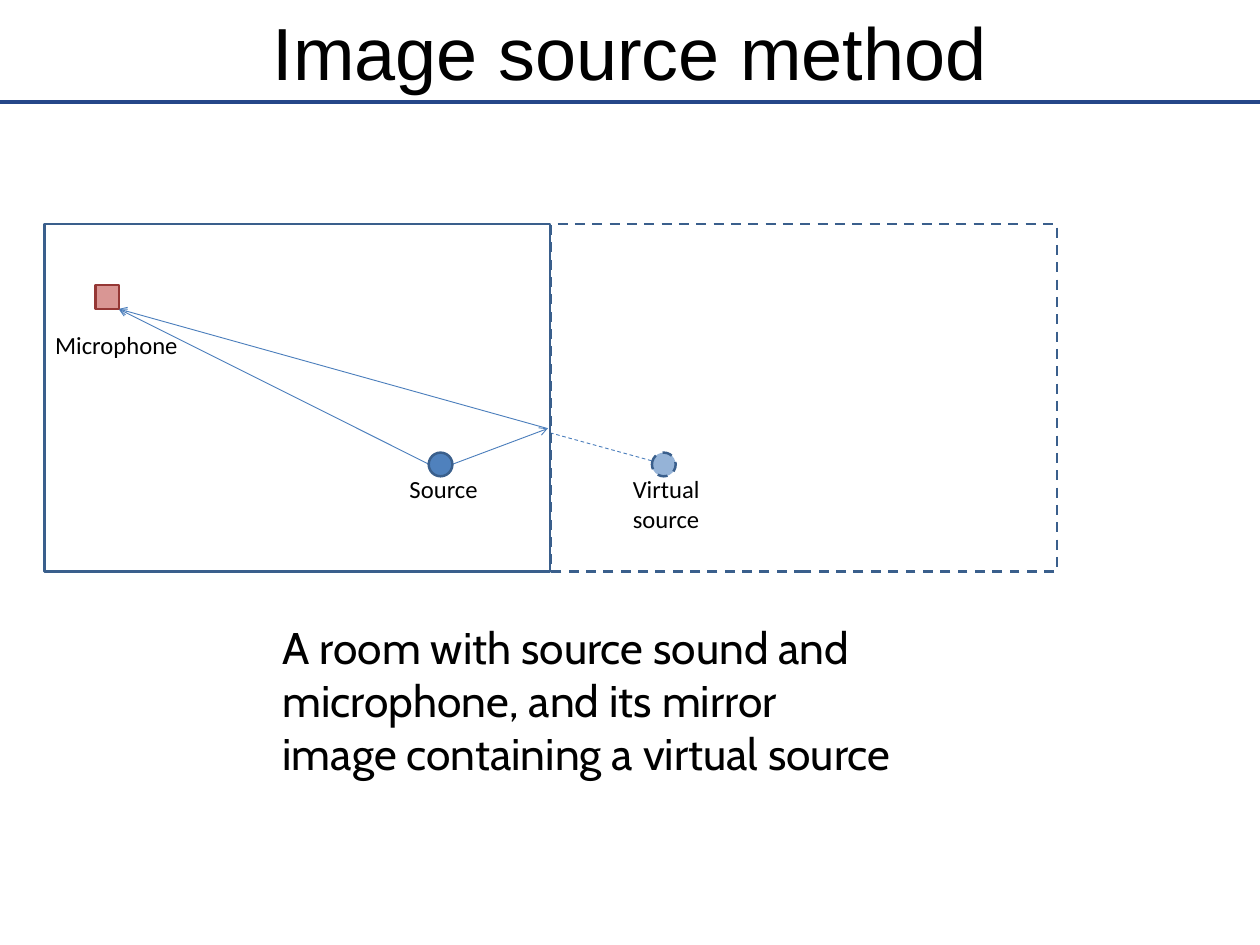
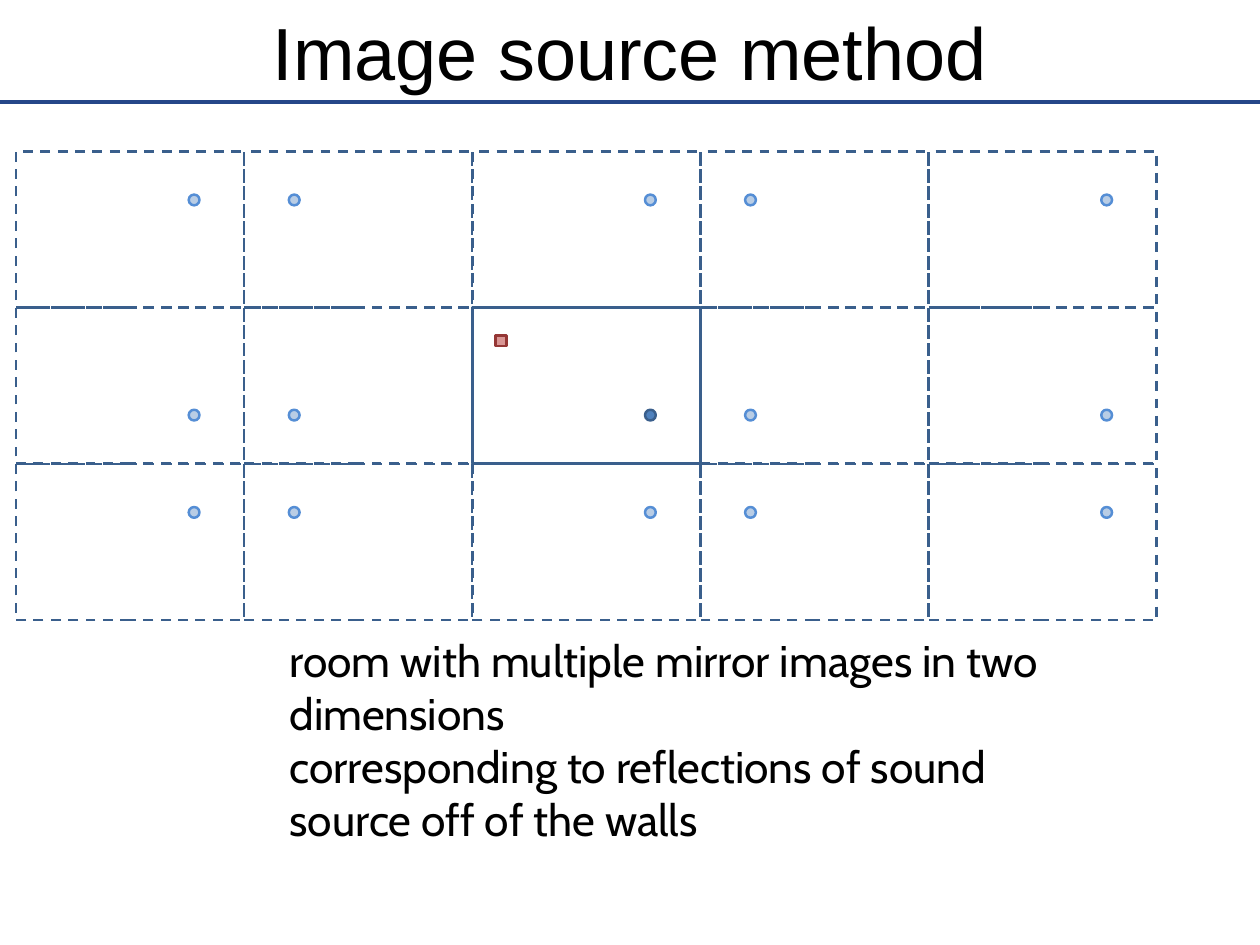
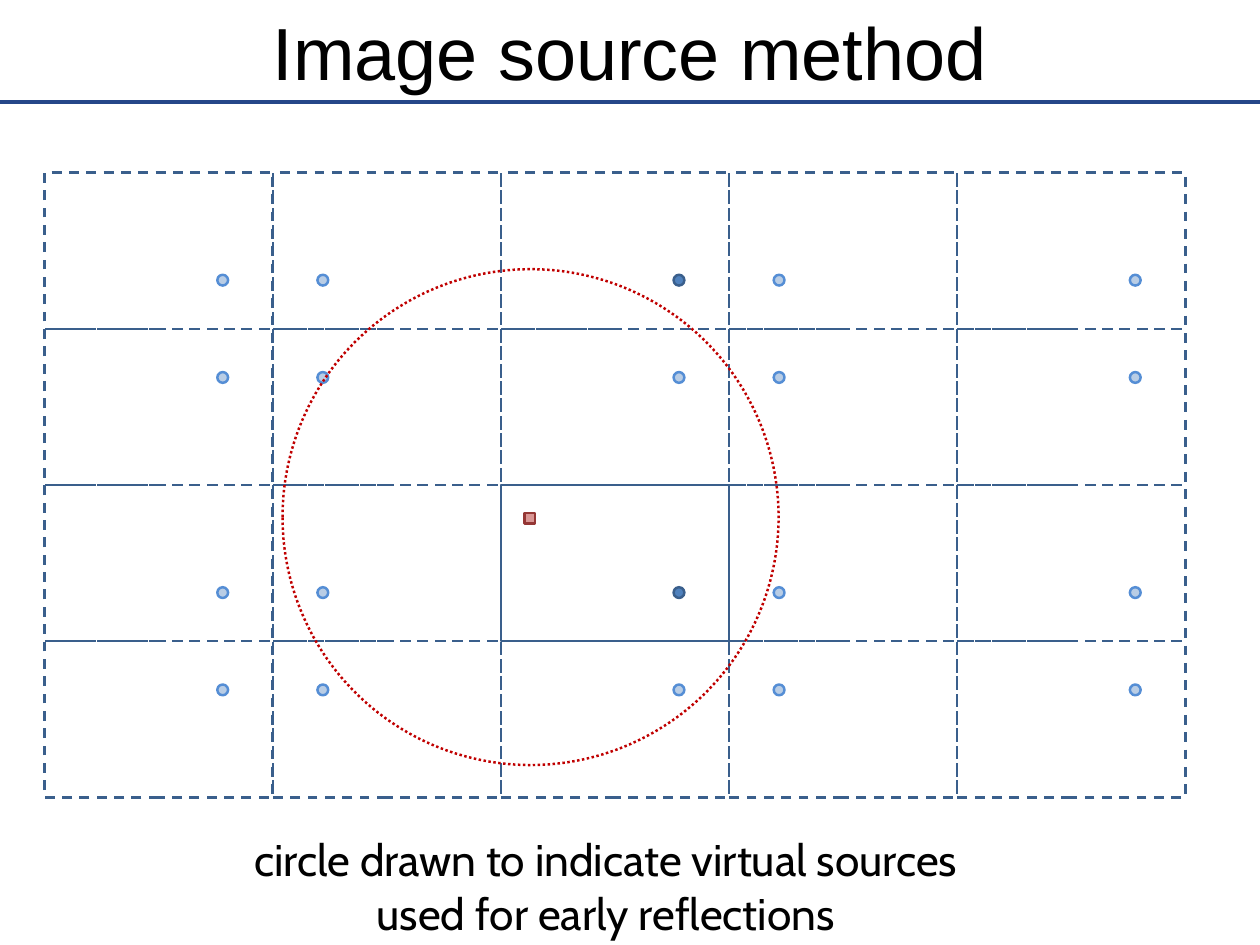
"""Build three slides that explain the image source method for room acoustics."""
from dataclasses import dataclass
from itertools import product

from pptx import Presentation
from pptx.dml.color import RGBColor
from pptx.enum.dml import MSO_LINE
from pptx.enum.shapes import MSO_CONNECTOR, MSO_SHAPE
from pptx.enum.text import MSO_ANCHOR, PP_ALIGN
from pptx.oxml.ns import qn
from pptx.util import Cm, Pt
from lxml.etree import SubElement


@dataclass(frozen=True)
class Theme:
    rule: str = "254789"
    ray: str = "4B7EBC"
    wall: str = "3A5F8C"
    source: str = "4F81BD"
    virtual_source: str = "95B3D7"
    reflection: str = "B9CDE5"
    reflection_edge: str = "558ED5"
    microphone: str = "D99694"
    microphone_edge: str = "953735"
    circle: str = "C00000"
    text: str = "000000"
    title_style: tuple = ("Arial", 60, 0.36, 0.18)
    label_style: tuple = ("Calibri", 20, 0.36, 0.18)
    caption_style: tuple = ("Cabin", 36, 0.25, 0.13)
    outline: float = 2
    rule_width: float = 3
    ray_width: float = 0.75


theme = Theme()


def add_outlined(slide, kind, box, edge, fill=None, dash=None):
    shape = slide.shapes.add_shape(kind, *map(Cm, box))
    shape.shadow.inherit = False
    if fill:
        shape.fill.solid()
        shape.fill.fore_color.rgb = RGBColor.from_string(fill)
    else:
        shape.fill.background()
    shape.line.color.rgb = RGBColor.from_string(edge)
    shape.line.width = Pt(theme.outline)
    shape.line.dash_style = dash


presentation = Presentation()
slide_width = 36.12
presentation.slide_width = Cm(slide_width)
presentation.slide_height = Cm(27.1)
slides = [presentation.slides.add_slide(presentation.slide_layouts[6]) for _ in range(3)]
mirror_slide, grid_slide, circle_slide = slides

rule_ends = (0, 2.92, slide_width, 2.92)
lines = [(slide, rule_ends, theme.rule, theme.rule_width, None, False) for slide in slides]
rays = [
    ((12.98, 13.31, 15.7, 12.29), None, True),
    ((12.29, 13.31, 3.4, 8.86), None, True),
    ((15.7, 12.29, 3.4, 8.86), None, True),
    ((18.85, 13.26, 15.8, 12.42), MSO_LINE.DASH, False),
]
lines += [(mirror_slide, ends, theme.ray, theme.ray_width, dash, arrow) for ends, dash, arrow in rays]

for slide, ends, color, width, dash, arrow in lines:
    connector = slide.shapes.add_connector(MSO_CONNECTOR.STRAIGHT, *map(Cm, ends))
    connector.line.color.rgb = RGBColor.from_string(color)
    connector.line.width = Pt(width)
    connector.line.dash_style = dash
    if arrow:
        SubElement(connector.line._get_or_add_ln(), qn("a:tailEnd"), type="arrow")
    SubElement(connector._element.spPr, qn("a:effectLst"))

room_top, room_width, room_height = 6.43, 14.5, 9.96
marker = 0.68
add_outlined(mirror_slide, MSO_SHAPE.RECTANGLE, (1.27, room_top, room_width, room_height), theme.wall)
add_outlined(mirror_slide, MSO_SHAPE.RECTANGLE, (15.8, room_top, room_width, room_height), theme.wall,
             dash=MSO_LINE.DASH)
add_outlined(mirror_slide, MSO_SHAPE.RECTANGLE, (2.74, 8.18, marker, marker),
             theme.microphone_edge, theme.microphone)
add_outlined(mirror_slide, MSO_SHAPE.OVAL, (12.29, 12.98, marker, marker), theme.wall, theme.source)
add_outlined(mirror_slide, MSO_SHAPE.OVAL, (18.69, 12.98, marker, marker), theme.wall,
             theme.virtual_source, MSO_LINE.DASH)

cell_width, cell_height, dot = 6.54, 4.48, 0.31
dot_x, dot_y = 4.95, 2.93
columns, room_column = 5, 2
grids = [
    (grid_slide, 0.46, 4.34, 3, 1, {(1, 2)}),
    (circle_slide, 1.28, 4.95, 4, 2, {(0, 2), (2, 2)}),
]
for slide, grid_left, grid_top, rows, room_row, solid_sources in grids:
    for row, column in product(range(rows), range(columns)):
        left = grid_left + column * cell_width
        top = grid_top + row * cell_height
        is_room = (row, column) == (room_row, room_column)
        add_outlined(slide, MSO_SHAPE.RECTANGLE, (left, top, cell_width, cell_height), theme.wall,
                     dash=None if is_room else MSO_LINE.DASH)
        x = cell_width - dot_x - dot if (column - room_column) % 2 else dot_x
        y = cell_height - dot_y - dot if (row - room_row) % 2 else dot_y
        if (row, column) in solid_sources:
            edge, fill = theme.wall, theme.source
        else:
            edge, fill = theme.reflection_edge, theme.reflection
        add_outlined(slide, MSO_SHAPE.OVAL, (left + x, top + y, dot, dot), edge, fill)
        if is_room:
            add_outlined(slide, MSO_SHAPE.RECTANGLE, (left + 0.67, top + 0.8, dot, dot),
                         theme.microphone_edge, theme.microphone)

add_outlined(circle_slide, MSO_SHAPE.OVAL, (8.1, 7.72, 14.22, 14.22), theme.circle,
             dash=MSO_LINE.ROUND_DOT)

title_box = (1.8, 0, 32.51, 2.95)
texts = [(slide, title_box, theme.title_style, PP_ALIGN.CENTER, MSO_ANCHOR.MIDDLE, "Image source method")
         for slide in slides]
labels = [
    ((11.38, 13.41, 3.18, 1.22), "Source"),
    ((1.22, 9.27, 4.32, 1.22), "Microphone"),
    ((17.78, 13.41, 3.18, 2.06), "Virtual source"),
]
texts += [(mirror_slide, box, theme.label_style, PP_ALIGN.LEFT, MSO_ANCHOR.TOP, label)
          for box, label in labels]
captions = [
    (mirror_slide, (7.85, 17.65, 18.06, 6.4), PP_ALIGN.LEFT,
     "A room with source sound and microphone, and its mirror image containing a virtual source"),
    (grid_slide, (8.05, 18.03, 22, 6.4), PP_ALIGN.LEFT,
     "room with multiple mirror images in two dimensions\n"
     "corresponding to reflections of sound source off of the walls"),
    (circle_slide, (6.25, 23.75, 22.23, 3.33), PP_ALIGN.CENTER,
     "circle drawn to indicate virtual sources used for early reflections"),
]
texts += [(slide, box, theme.caption_style, align, MSO_ANCHOR.TOP, caption)
          for slide, box, align, caption in captions]

for slide, box, (font_name, size, inset_x, inset_y), align, anchor, text in texts:
    frame = slide.shapes.add_textbox(*map(Cm, box)).text_frame
    frame.word_wrap = True
    frame.vertical_anchor = anchor
    frame.margin_left = frame.margin_right = Cm(inset_x)
    frame.margin_top = frame.margin_bottom = Cm(inset_y)
    frame.text = text
    for paragraph in frame.paragraphs:
        paragraph.alignment = align
        paragraph.font.name = font_name
        paragraph.font.size = Pt(size)
        paragraph.font.color.rgb = RGBColor.from_string(theme.text)

presentation.save("out.pptx")
